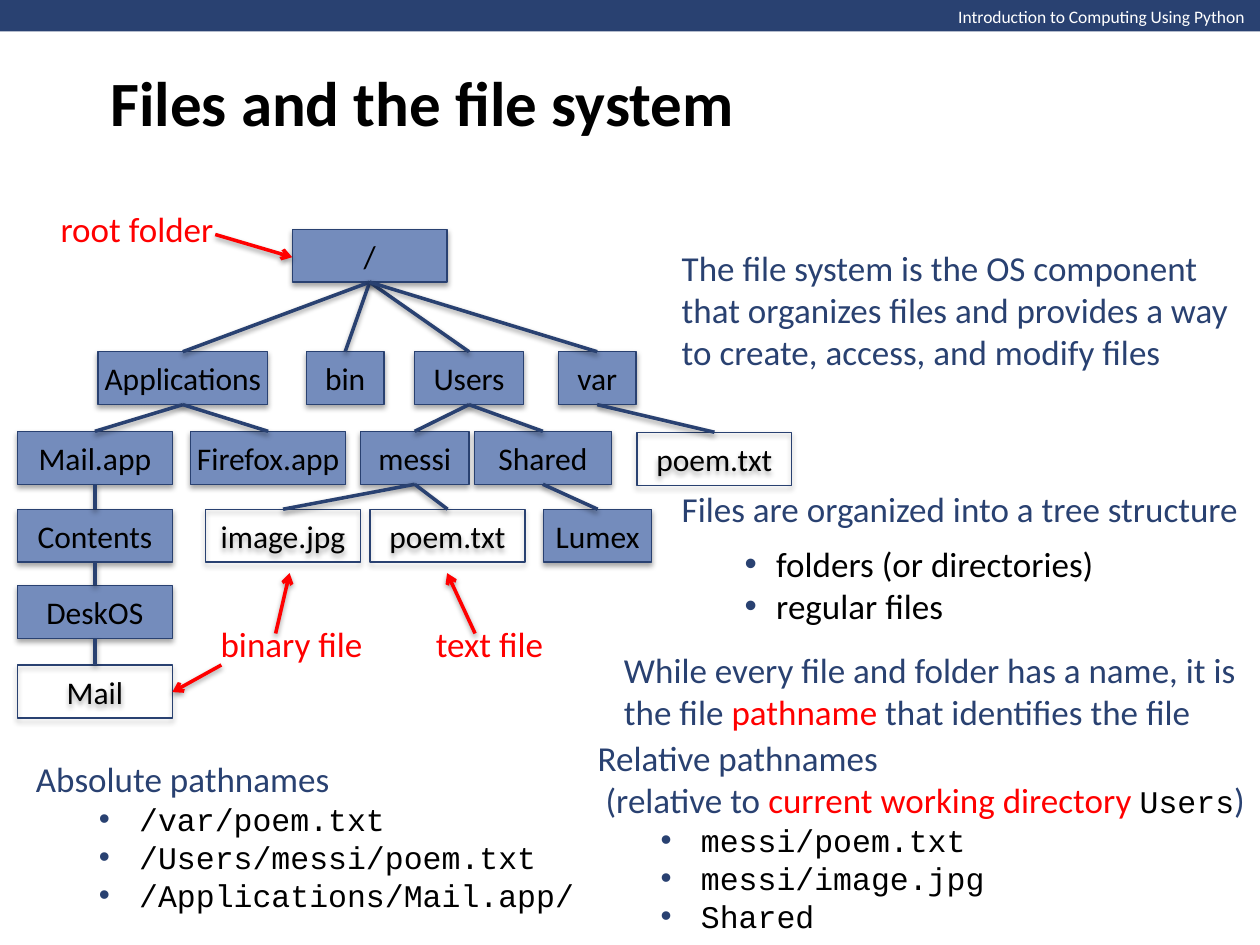
from lxml.etree import SubElement
from pptx import Presentation
from pptx.dml.color import RGBColor
from pptx.enum.shapes import MSO_CONNECTOR as Connector, MSO_SHAPE as Shape
from pptx.enum.text import MSO_ANCHOR as Anchor, MSO_AUTO_SIZE as AutoSize, PP_ALIGN as Align
from pptx.oxml.ns import qn
from pptx.util import Pt

COLORS = {"navy": "294171", "folder": "748CBC", "red": "FF0000",
          "black": "000000", "white": "FFFFFF"}
SANS, MONO = "Calibri", "Courier New"
BOX_HEIGHT = 30.25
TOP, BOTTOM = 0, 2

NODES = {
    "root": ("/", 167, 131, 88.5, True),
    "applications": ("Applications", 56, 201, 97, True),
    "bin": ("bin", 175, 201, 44.5, True),
    "users": ("Users", 237, 201, 62, True),
    "var": ("var", 319, 201, 44.5, True),
    "mail_app": ("Mail.app", 10, 246.5, 88.5, True),
    "firefox": ("Firefox.app", 109, 246.5, 88.5, True),
    "messi": ("messi", 206, 246.5, 62, True),
    "shared": ("Shared", 271, 246.5, 78.5, True),
    "var_poem": ("poem.txt", 364, 247, 88.5, False),
    "contents": ("Contents", 10, 291, 88.5, True),
    "image": ("image.jpg", 117.5, 291, 88.5, False),
    "messi_poem": ("poem.txt", 211.5, 291, 88.5, False),
    "printer": ("Lumex", 310.5, 291, 62, True),
    "system": ("DeskOS", 10, 334.5, 88.5, True),
    "mail": ("Mail", 10, 380, 88.5, False),
}
CHILDREN = {
    "root": ["applications", "bin", "users", "var"],
    "applications": ["mail_app", "firefox"],
    "users": ["messi", "shared"],
    "var": ["var_poem"],
    "messi": ["image", "messi_poem"],
    "shared": ["printer"],
    "mail_app": ["contents"],
    "contents": ["system"],
    "system": ["mail"],
}
ARROWS = [
    (123, 134, 167, 147),
    (126.5, 380, 98.5, 395.5),
    (157.5, 362, 165.5, 327.5),
    (271.5, 362, 255.5, 327.5),
]
LABELS = [("root folder", 27.5, 115, 104), ("binary file", 119, 352, 96.5),
          ("text file", 242, 352, 77)]


def rgb(name):
    return RGBColor.from_string(COLORS[name])


def add_shadow(shape, opacity, distance):
    effects = SubElement(shape.element.spPr, qn("a:effectLst"))
    shadow = SubElement(effects, qn("a:outerShdw"), blurRad=str(Pt(3.1)),
                        dist=str(Pt(distance)), dir="5400000", rotWithShape="0")
    color = SubElement(shadow, qn("a:srgbClr"), val=COLORS["black"])
    SubElement(color, qn("a:alpha"), val=str(opacity * 1000))


def format_run(run, color, size, font=SANS, bold=False):
    run.font.name = font
    run.font.size = Pt(size)
    run.font.bold = bold
    run.font.color.rgb = rgb(color)


def add_text(slide, left, top, width, height, *spans, wrap=False, anchor=Anchor.MIDDLE):
    box = slide.shapes.add_textbox(Pt(left), Pt(top), Pt(width), Pt(height))
    frame = box.text_frame
    frame.word_wrap = wrap
    frame.auto_size = AutoSize.SHAPE_TO_FIT_TEXT
    frame.vertical_anchor = anchor
    paragraph = frame.paragraphs[0]
    for text, *style in spans:
        if text == "\n":
            paragraph.add_line_break()
            continue
        run = paragraph.add_run()
        run.text = text
        format_run(run, *style)
    return frame


def add_bullets(frame, items, indent, hanging, size, font):
    for item in items:
        paragraph = frame.paragraphs[-1] if not frame.text else frame.add_paragraph()
        paragraph.text = item
        paragraph.level = 1
        properties = paragraph._p.get_or_add_pPr()
        properties.set("marL", str(Pt(indent)))
        properties.set("indent", str(-Pt(hanging)))
        color = SubElement(properties, qn("a:buClr"))
        SubElement(color, qn("a:srgbClr"), val=COLORS["navy"])
        SubElement(properties, qn("a:buFont"), typeface="Arial")
        SubElement(properties, qn("a:buChar"), char="•")
        format_run(paragraph.runs[0], "black", size, font)


def add_node(slide, text, left, top, width, is_folder):
    box = slide.shapes.add_shape(Shape.RECTANGLE, Pt(left), Pt(top), Pt(width), Pt(BOX_HEIGHT))
    if is_folder:
        box.fill.solid()
        box.fill.fore_color.rgb = rgb("folder")
    else:
        box.fill.background()
    box.line.color.rgb = rgb("navy")
    box.line.width = Pt(0.75)
    add_shadow(box, 35, 1.8)
    frame = box.text_frame
    frame.text = text
    frame.word_wrap = False
    frame.vertical_anchor = Anchor.MIDDLE
    frame.paragraphs[0].alignment = Align.CENTER
    format_run(frame.paragraphs[0].runs[0], "black", 18)
    return box


def add_line(slide, color, points=(0, 0, 0, 0)):
    line = slide.shapes.add_connector(Connector.STRAIGHT, *map(Pt, points))
    line.line.color.rgb = rgb(color)
    line.line.width = Pt(2)
    add_shadow(line, 38, 1.6)
    return line


def add_branch(slide, parent, child):
    branch = add_line(slide, "navy")
    branch.begin_connect(parent, BOTTOM)
    branch.end_connect(child, TOP)


def add_arrow(slide, points):
    arrow = add_line(slide, "red", points)
    SubElement(arrow.element.spPr.find(qn("a:ln")), qn("a:tailEnd"), type="arrow")


def add_header(slide):
    bar = slide.shapes.add_shape(Shape.RECTANGLE, 0, 0, Pt(720), Pt(18))
    bar.shadow.inherit = False
    bar.fill.solid()
    bar.fill.fore_color.rgb = rgb("navy")
    bar.line.fill.background()
    add_text(slide, 540.5, 0, 179.5, 19.5,
             ("Introduction to Computing Using Python", "white", 10), anchor=Anchor.TOP)
    title = add_text(slide, 56, 0, 612, 116,
                     ("Files and the file system", "black", 36, SANS, True), wrap=True)
    title.auto_size = AutoSize.NONE


def add_tree(slide):
    nodes = {name: add_node(slide, *node) for name, node in NODES.items()}
    for parent, children in CHILDREN.items():
        for child in children:
            add_branch(slide, nodes[parent], nodes[child])
    for points in ARROWS:
        add_arrow(slide, points)
    for text, left, top, width in LABELS:
        add_text(slide, left, top, width, 31.5, (text, "red", 20))


def add_explanations(slide):
    add_text(slide, 382.5, 137, 337.5, 80,
             ("The file system is the OS component that organizes files and provides "
              "a way to create, access, and modify files", "navy", 20), wrap=True)
    add_text(slide, 382.5, 275, 337.5, 31.5,
             ("Files are organized into a tree structure", "navy", 20))
    kinds = add_text(slide, 382.5, 306.5, 312.5, 55.5, wrap=True)
    add_bullets(kinds, ["folders (or directories)", "regular files"], 54, 18, 20, SANS)
    add_text(slide, 349.5, 367, 371, 55.5,
             ("While every file and folder has a name, it is the file ", "navy", 20),
             ("pathname ", "red", 20), ("that identifies the file", "navy", 20), wrap=True)
    absolute = add_text(slide, 13.5, 429, 323.5, 97, ("Absolute pathnames", "navy", 20))
    add_bullets(absolute, ["/var/poem.txt", "/Users/messi/poem.txt", "/Applications/Mail.app/"],
                59, 23, 18, MONO)
    relative = add_text(slide, 334.5, 417, 393, 121,
                        ("Relative pathnames", "navy", 20), ("\n",),
                        (" (relative to ", "navy", 20),
                        ("current working directory ", "red", 20),
                        ("Users", "black", 18, MONO), (")", "navy", 20), wrap=True)
    add_bullets(relative, ["messi/poem.txt", "messi/image.jpg", "Shared"], 59, 23, 18, MONO)


def main():
    presentation = Presentation()
    presentation.slide_width, presentation.slide_height = Pt(720), Pt(540)
    slide = presentation.slides.add_slide(presentation.slide_layouts[6])
    add_header(slide)
    add_tree(slide)
    add_explanations(slide)
    presentation.save("out.pptx")


if __name__ == "__main__":
    main()
